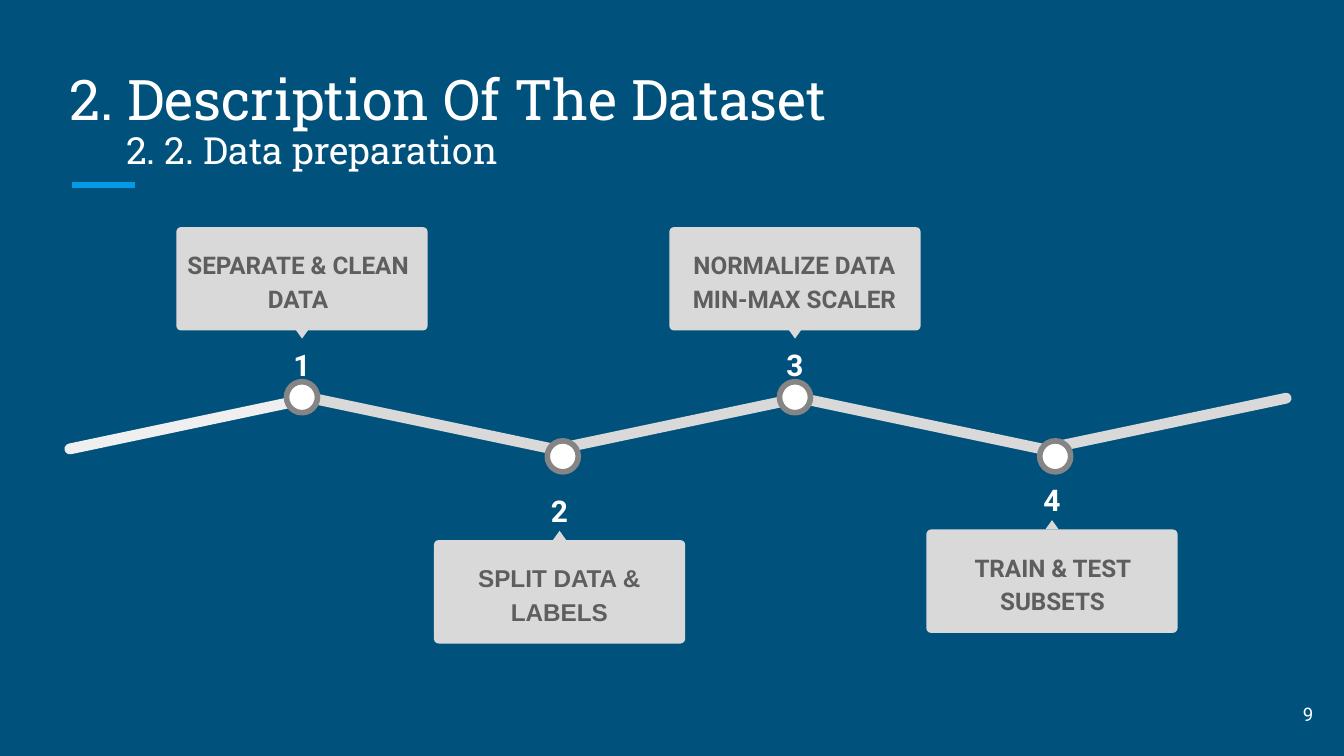
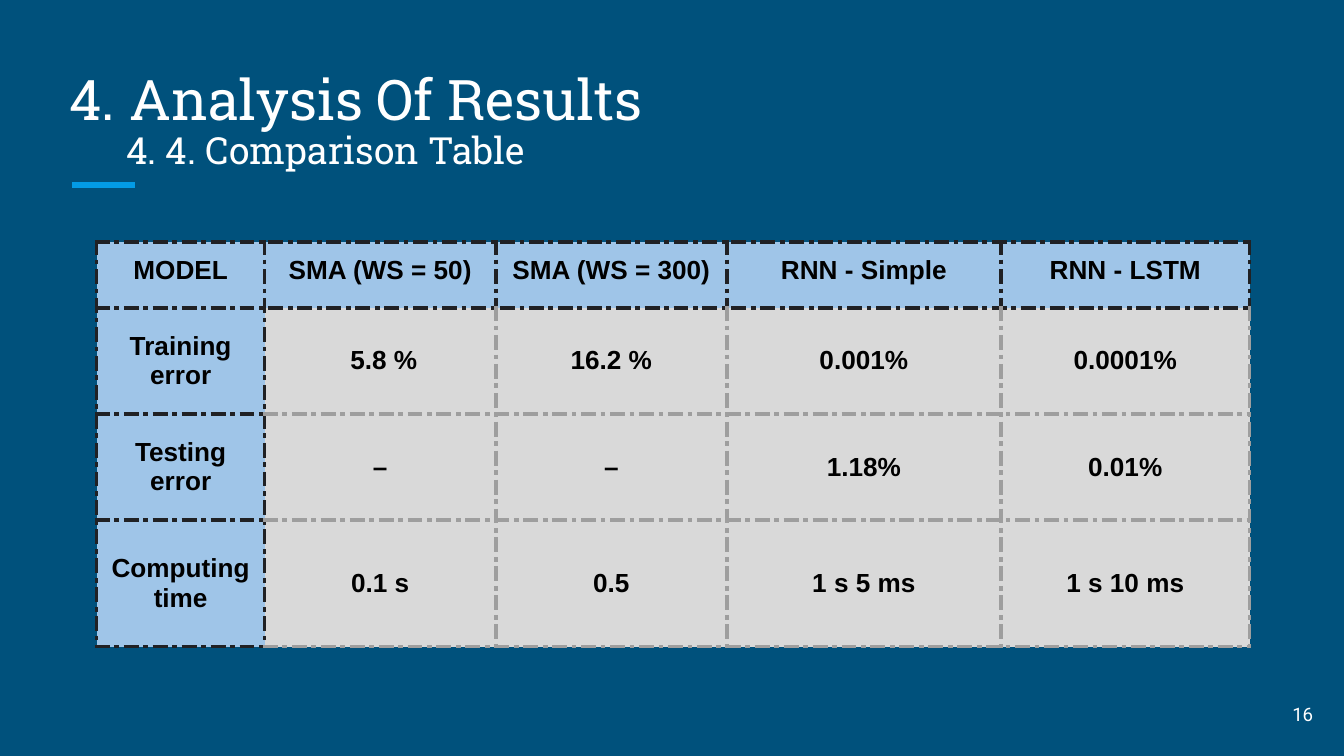
import pptx
import pptx.util
import pptx.dml.color
import pptx.enum.shapes
import pptx.enum.text
import pptx.oxml
import pptx.oxml.ns
from lxml import etree

Pt = pptx.util.Pt
RGBColor = pptx.dml.color.RGBColor
SHAPE = pptx.enum.shapes.MSO_SHAPE
ALIGN = pptx.enum.text.PP_ALIGN
ANCHOR = pptx.enum.text.MSO_ANCHOR

# Shared colours and fonts
NAVY = RGBColor(0x00, 0x51, 0x7C)
ACCENT = RGBColor(0x03, 0x9B, 0xE5)
WHITE = RGBColor(0xFF, 0xFF, 0xFF)
BLACK = RGBColor(0x00, 0x00, 0x00)
LIGHT = RGBColor(0xD9, 0xD9, 0xD9)
PALE = RGBColor(0xEF, 0xEF, 0xEF)
RING = RGBColor(0x85, 0x85, 0x85)
CARD_TEXT = RGBColor(0x5E, 0x5E, 0x5E)
HEADER = RGBColor(0x9F, 0xC5, 0xE8)
DARK_RULE = RGBColor(0x20, 0x21, 0x24)
GREY_RULE = RGBColor(0x9E, 0x9E, 0x9E)
SLAB, ROBOTO, ARIAL = "Roboto Slab", "Roboto", "Arial"
INSET = Pt(7.2)

# Timeline geometry
RAIL_LEFTS = (33.1, 162.7, 294.5, 424.8, 555.8)
RAIL_W, RAIL_H, RAIL_TOP, RAIL_TILT = 137.5, 5.8, 224, 11.9
CARD_W, CARD_H = 134.6, 55.4
MARKER = 16.6
# Number, text, centre, card top, is above the rail, font, text width, text shift
STEPS = (
    ("1", "SEPARATE & CLEAN DATA", 161.8, 121.7, True, ROBOTO, 136.1, -2.2),
    ("2", "SPLIT DATA & LABELS", 299.8, 289.4, False, ARIAL, 128.2, -0.2),
    ("3", "NORMALIZE DATA MIN-MAX SCALER", 425.9, 121.7, True, ROBOTO, 128.2, -0.4),
    ("4", "TRAIN & TEST SUBSETS", 563.6, 283.7, False, ROBOTO, 128.2, 0.2),
)

# Comparison table
COL_WIDTHS = (90, 123.8, 123.8, 146.9, 133.2)
ROW_HEIGHTS = (35.3, 56.9, 56.9, 67.7)
RESULTS = (
    ("MODEL", "SMA (WS = 50)", "SMA (WS = 300)", "RNN - Simple", "RNN - LSTM"),
    ("Training error", " 5.8 %", "16.2 %", "0.001%", "0.0001%"),
    ("Testing error", "–", "–", "1.18%", "0.01%"),
    ("Computing time", "0.1 s", "0.5", "1 s 5 ms", "1 s 10 ms"),
)


def write_text(tf, text, size=14, font=ROBOTO, color=WHITE, bold=False,
               align=ALIGN.LEFT, spacing=None, after=None):
    p = tf.paragraphs[0]
    p.alignment = align
    if spacing is not None:
        p.line_spacing = spacing
    if after is not None:
        p.space_after = Pt(after)
    r = p.add_run()
    r.text = text
    r.font.size = Pt(size)
    r.font.name = font
    r.font.bold = bold
    r.font.color.rgb = color


def add_text(s, text, left, top, width, height, anchor=ANCHOR.TOP, **fmt):
    tf = s.shapes.add_textbox(Pt(left), Pt(top), Pt(width), Pt(height)).text_frame
    tf.word_wrap = True
    tf.vertical_anchor = anchor
    tf.margin_left = tf.margin_right = tf.margin_top = tf.margin_bottom = INSET
    write_text(tf, text, **fmt)


def add_shape(s, kind, left, top, width, height, fill,
              line=None, rotation=0, radius=None):
    sp = s.shapes.add_shape(kind, Pt(left), Pt(top), Pt(width), Pt(height))
    sp.shadow.inherit = False
    sp.rotation = rotation
    sp.fill.solid()
    sp.fill.fore_color.rgb = fill
    if line is None:
        sp.line.fill.background()
    else:
        sp.line.color.rgb = line
        sp.line.width = Pt(3)
    if radius is not None:
        sp.adjustments[0] = radius


def add_accent_line(s):
    line = s.shapes.add_connector(pptx.enum.shapes.MSO_CONNECTOR.STRAIGHT,
                                  Pt(38.6), Pt(99.2), Pt(72.2), Pt(99.2))
    line.line.color.rgb = ACCENT
    line.line.width = Pt(3)
    etree.SubElement(line._element.spPr, pptx.oxml.ns.qn("a:effectLst"))


def add_base_slide(prs, title, title_w, subtitle, subtitle_w, number):
    s = prs.slides.add_slide(prs.slide_layouts[6])
    s.background.fill.solid()
    s.background.fill.fore_color.rgb = NAVY
    add_accent_line(s)
    add_text(s, number, 667.4, 367.2, 43.2, 31, anchor=ANCHOR.MIDDLE,
             size=10, align=ALIGN.RIGHT)
    add_text(s, title, 30.2, 23.8, title_w, 54, anchor=ANCHOR.BOTTOM,
             size=30, font=SLAB)
    add_text(s, subtitle, 60.5, 69.8, subtitle_w, 29.5, anchor=ANCHOR.BOTTOM,
             size=20, font=SLAB)
    return s


def add_rail(s):
    for i, left in enumerate(RAIL_LEFTS):
        add_shape(s, SHAPE.ROUNDED_RECTANGLE, left, RAIL_TOP, RAIL_W, RAIL_H,
                  LIGHT if i else PALE, radius=0.5,
                  rotation=RAIL_TILT if i % 2 else 360 - RAIL_TILT)


def add_step(s, number, text, center, top, above, font, text_w, shift):
    fmt = dict(bold=True, align=ALIGN.CENTER, spacing=1.15, after=16)
    # Marker on the rail
    marker_x, marker_y = (center, 204.5) if above else (center + 1.7, 236.2)
    add_shape(s, SHAPE.OVAL, marker_x - MARKER / 2, marker_y, MARKER, MARKER,
              WHITE, line=RING, rotation=330.2)
    # Number between marker and card
    number_y = top + 54 if above else top - 35.6
    add_text(s, number, center - 27.4, number_y, 54.7, 21.6, size=16, **fmt)
    # Card with its pointer
    add_shape(s, SHAPE.ROUNDED_RECTANGLE, center - CARD_W / 2, top,
              CARD_W, CARD_H, LIGHT, radius=0.045)
    add_shape(s, SHAPE.ISOSCELES_TRIANGLE, center - 3.6,
              top + 54.7 if above else top - 5, 7.2, 5, LIGHT,
              rotation=180 if above else 0)
    add_text(s, text, center + shift - text_w / 2, top + 2.9, text_w, 49,
             size=13, font=font, color=CARD_TEXT, **fmt)


def set_border(cell, side, color):
    ns = pptx.oxml.ns.nsdecls("a")
    cell._tc.get_or_add_tcPr().append(pptx.oxml.parse_xml(
        f'<a:ln{side} {ns} w="{Pt(2.25)}"><a:solidFill><a:srgbClr val="{color}"/>'
        f'</a:solidFill><a:prstDash val="dashDot"/></a:ln{side}>'))


def add_results_table(s):
    table = s.shapes.add_table(len(RESULTS), len(COL_WIDTHS), Pt(51.8), Pt(129.6),
                               Pt(sum(COL_WIDTHS)), Pt(sum(ROW_HEIGHTS))).table
    table.horz_banding = False
    for column, width in zip(table.columns, COL_WIDTHS):
        column.width = Pt(width)
    for row, height in zip(table.rows, ROW_HEIGHTS):
        row.height = Pt(height)
    for i, row in enumerate(RESULTS):
        for j, text in enumerate(row):
            cell = table.cell(i, j)
            header = i == 0 or j == 0
            # Edges that touch a header cell are dark
            dark = {"L": header or j == 1, "R": header,
                    "T": header or i == 1, "B": header}
            for side, is_dark in dark.items():
                set_border(cell, side, DARK_RULE if is_dark else GREY_RULE)
            cell.fill.solid()
            cell.fill.fore_color.rgb = HEADER if header else LIGHT
            cell.vertical_anchor = ANCHOR.MIDDLE if i else ANCHOR.TOP
            cell.margin_left = cell.margin_right = INSET
            cell.margin_top = cell.margin_bottom = INSET
            write_text(cell.text_frame, text, font=ARIAL, color=BLACK,
                       bold=True, align=ALIGN.CENTER)


def main():
    prs = pptx.Presentation()
    prs.slide_width, prs.slide_height = Pt(720), Pt(405)

    # Data preparation timeline
    s = add_base_slide(prs, "2. Description Of The Dataset", 452.2,
                       "2. 2. Data preparation", 467.3, "9")
    add_rail(s)
    for step in STEPS:
        add_step(s, *step)

    # Model comparison
    s = add_base_slide(prs, "4. Analysis Of Results", 658.8,
                       "4. 4. Comparison Table", 586.1, "16")
    add_results_table(s)

    prs.save("out.pptx")


if __name__ == "__main__":
    main()
